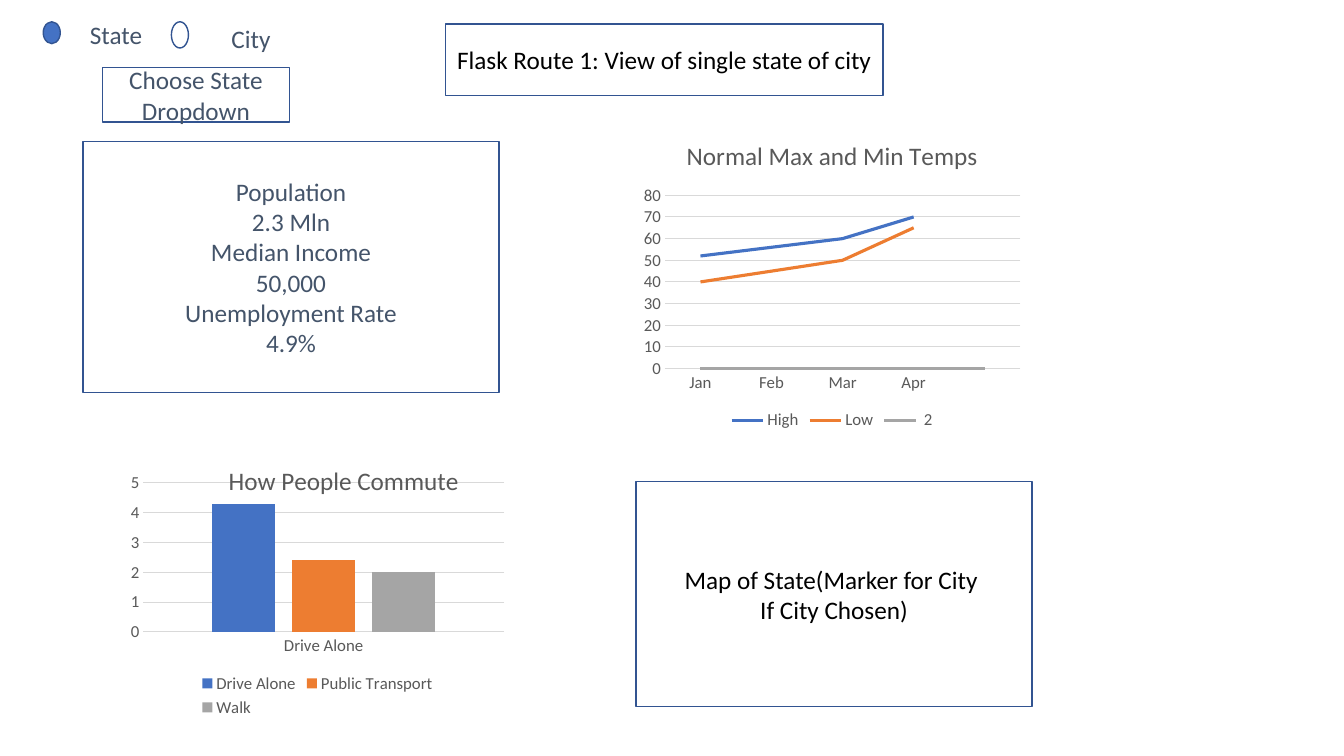
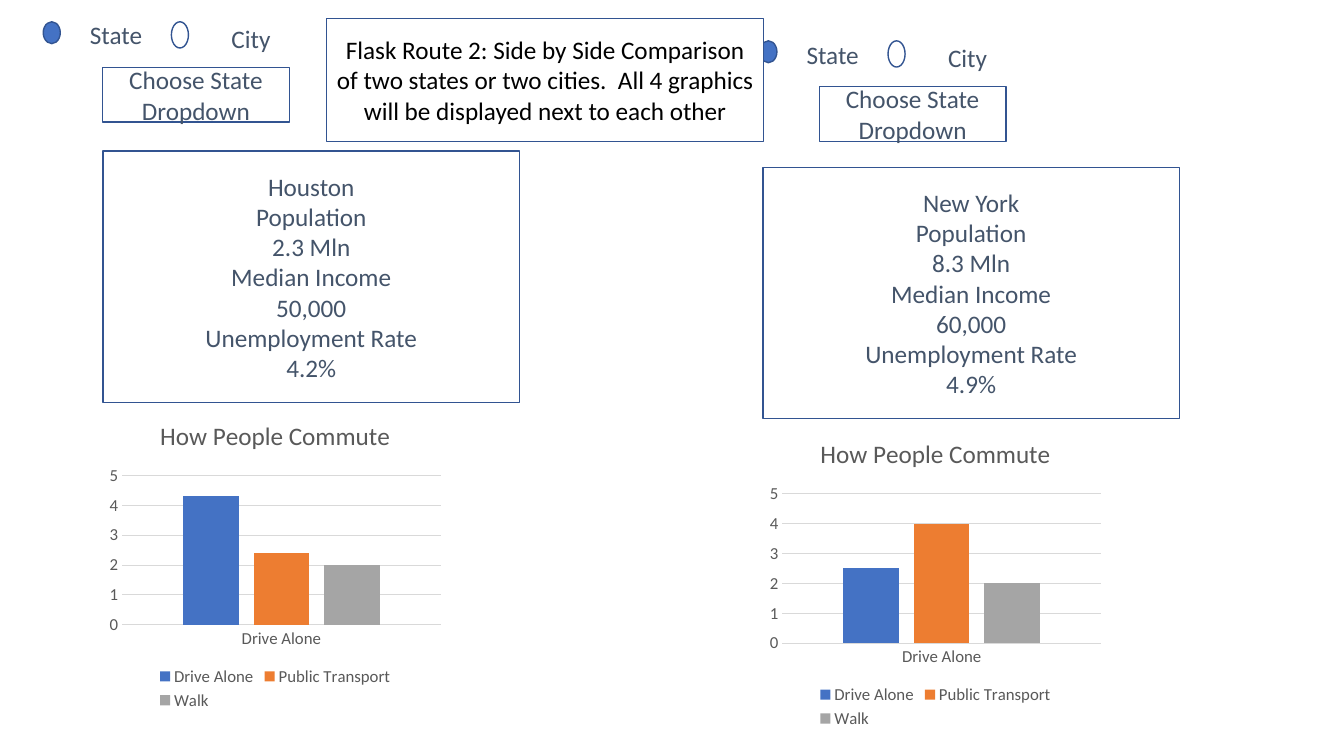
from pptx import Presentation
from pptx.chart.data import CategoryChartData
from pptx.dml.color import RGBColor
from pptx.enum import chart as kinds, shapes, text
from pptx.oxml import parse_xml
from pptx.oxml.ns import nsdecls
from pptx.util import Cm, Pt

FONT = "Calibri"
WHITE = RGBColor(0xFF, 0xFF, 0xFF)
BLACK = RGBColor(0, 0, 0)
SLATE = RGBColor(0x44, 0x54, 0x6A)
OUTLINE = RGBColor(0x32, 0x54, 0x91)
BLUE = RGBColor(0x44, 0x72, 0xC4)
ORANGE = RGBColor(0xED, 0x7D, 0x31)
GREY = RGBColor(0xA5, 0xA5, 0xA5)
LABEL = RGBColor(0x59, 0x59, 0x59)
GRID = RGBColor(0xD9, 0xD9, 0xD9)
SERIES_COLORS = [BLUE, ORANGE, GREY]

RECTANGLE = shapes.MSO_SHAPE.RECTANGLE
OVAL = shapes.MSO_SHAPE.OVAL
COLUMNS = kinds.XL_CHART_TYPE.COLUMN_CLUSTERED
LINES = kinds.XL_CHART_TYPE.LINE


def add_box(slide, place, content="", *, kind=RECTANGLE, fill=WHITE,
            line=OUTLINE, color=SLATE):
    """Draw a shape at (left, top, width, height) cm, one paragraph per text line."""
    shape = slide.shapes.add_shape(kind, *map(Cm, place))
    shape.shadow.inherit = False
    shape.fill.solid()
    shape.fill.fore_color.rgb = fill
    if line is None:
        shape.line.fill.background()
    else:
        shape.line.color.rgb = line
        shape.line.width = Pt(1)
    if not content:
        return
    frame = shape.text_frame
    frame.word_wrap = True
    frame.vertical_anchor = text.MSO_ANCHOR.MIDDLE
    for index, words in enumerate(content.split("\n")):
        paragraph = frame.paragraphs[0] if index == 0 else frame.add_paragraph()
        paragraph.alignment = text.PP_ALIGN.CENTER
        run = paragraph.add_run()
        run.text = words
        run.font.name, run.font.size = FONT, Pt(18)
        run.font.color.rgb = color


def add_graph(slide, place, kind, title, categories, series, title_at=None):
    """Add a chart; title_at gives the title's left and top as chart fractions."""
    data = CategoryChartData()
    data.categories = categories
    for name, values in series:
        data.add_series(name, values)
    chart = slide.shapes.add_chart(kind, *map(Cm, place), data).chart
    chart.font.name, chart.font.size = FONT, Pt(12)
    chart.font.color.rgb = LABEL

    chart.has_title = True
    run = chart.chart_title.text_frame.paragraphs[0].add_run()
    run.text = title
    run.font.name, run.font.size, run.font.bold = FONT, Pt(18), False
    run.font.color.rgb = LABEL
    if title_at:
        title_element = chart.chart_title._element
        for layout in title_element.findall("{*}layout"):
            title_element.remove(layout)
        title_element.find("{*}tx").addnext(parse_xml(
            f'<c:layout {nsdecls("c")}><c:manualLayout>'
            '<c:xMode val="edge"/><c:yMode val="edge"/>'
            f'<c:x val="{title_at[0]}"/><c:y val="{title_at[1]}"/>'
            '</c:manualLayout></c:layout>'))

    chart.has_legend = True
    chart.legend.position = kinds.XL_LEGEND_POSITION.BOTTOM
    chart.legend.include_in_layout = False

    for axis in (chart.category_axis, chart.value_axis):
        axis.major_tick_mark = axis.minor_tick_mark = kinds.XL_TICK_MARK.NONE
    chart.category_axis.format.line.color.rgb = GRID
    chart.category_axis.format.line.width = Pt(0.75)
    chart.value_axis.format.line.fill.background()
    gridlines = chart.value_axis.major_gridlines.format.line
    gridlines.color.rgb, gridlines.width = GRID, Pt(0.75)

    plot = chart.plots[0]
    plot.vary_by_categories = False
    if kind == COLUMNS:
        plot.gap_width, plot.overlap = 219, -27
    for item, color in zip(plot.series, SERIES_COLORS):
        if kind == COLUMNS:
            item.format.fill.solid()
            item.format.fill.fore_color.rgb = color
        else:
            item.smooth = False
            item.marker.style = kinds.XL_MARKER_STYLE.NONE
            item.format.line.color.rgb = color
            item.format.line.width = Pt(2.25)


presentation = Presentation()
presentation.slide_width, presentation.slide_height = Cm(33.87), Cm(19.05)
blank = presentation.slide_layouts[6]
single, comparison = (presentation.slides.add_slide(blank) for _ in range(2))

# State / city selectors
for slide, x, y in [(single, 0, 0), (comparison, 0, 0), (comparison, 18.06, 0.48)]:
    add_box(slide, (2.59 + x, 1.7 + y, 4.7, 1.38), "Choose State Dropdown")
    add_box(slide, (1.09 + x, 0.55 + y, 0.43, 0.55), kind=OVAL, fill=BLUE)
    add_box(slide, (1.91 + x, 0.6 + y, 2.03, 0.56), "State", line=None)
    add_box(slide, (4.32 + x, 0.55 + y, 0.43, 0.66), kind=OVAL)
    add_box(slide, (5.31 + x, 0.68 + y, 2.03, 0.56), "City", line=None)

# Key figures
for slide, x, y, place, population, income, unemployment in [
    (single, 2.09, 3.56, "", "2.3 Mln", "50,000", "4.9%"),
    (comparison, 2.6, 3.81, "Houston\n", "2.3 Mln", "50,000", "4.2%"),
    (comparison, 19.23, 4.22, "New York\n", "8.3 Mln", "60,000", "4.9%"),
]:
    add_box(slide, (x, y, 10.49, 6.33),
            f"{place}Population\n{population}\nMedian Income\n{income}\n"
            f"Unemployment Rate\n{unemployment}")

# Commute charts
modes = ["Drive Alone", "Public Transport", "Walk"]
for slide, x, y, width, shares, title_at in [
    (single, 3.1, 10.31, 9.8, (4.3, 2.4, 2), (0.26, 0.16)),
    (comparison, 2.59, 10.13, 8.69, (4.3, 2.4, 2), None),
    (comparison, 19.23, 10.59, 8.69, (2.5, 4, 2), None),
]:
    add_graph(slide, (x, y, width, 7.87), COLUMNS, "How People Commute",
              ["Drive Alone"], [(mode, [share]) for mode, share in zip(modes, shares)],
              title_at)

# Temperatures and map
add_graph(single, (16.03, 3.07, 9.88, 7.87), LINES, "Normal Max and Min Temps",
          ["Jan", "Feb", "Mar", "Apr", ""],
          [("High", [52, 56, 60, 70, None]),
           ("Low", [40, 45, 50, 65, None]),
           (" 2", [0, 0, 0, 0, 0])])
add_box(single, (16.03, 12.14, 9.98, 5.66),
        "Map of State(Marker for City \nIf City Chosen)", color=BLACK)

# Headings
add_box(single, (11.23, 0.61, 11.02, 1.8),
        "Flask Route 1: View of single state of city", color=BLACK)
add_box(comparison, (8.23, 0.46, 11.02, 3.1),
        "Flask Route 2: Side by Side Comparison of two states or two cities.  "
        "All 4 graphics will be displayed next to each other", color=BLACK)

presentation.save("out.pptx")
